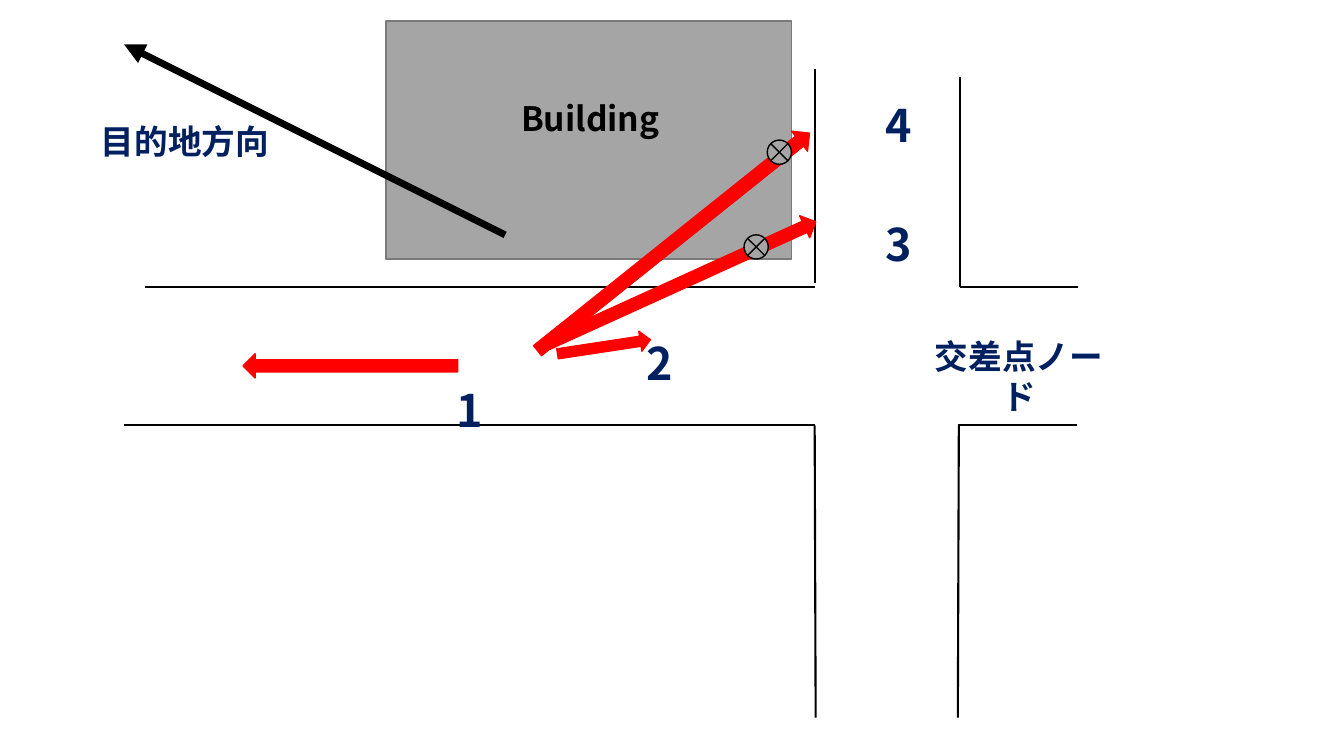
import math
from pptx import Presentation
from pptx import util as u
from pptx.dml.color import RGBColor
from pptx.enum import shapes, text
from pptx.oxml.ns import qn
from lxml import etree

THEME = {
    "font": "Noto Sans CJK JP",
    "ink": RGBColor(0, 0, 0),
    "navy": RGBColor(0x00, 0x20, 0x60),
    "red": RGBColor(0xFF, 0, 0),
    "gray": RGBColor(0xA5, 0xA5, 0xA5),
    "edge": RGBColor(0x7A, 0x7A, 0x7A),
    "label": u.Pt(24),
    "digit": u.Pt(32),
}
PX = 9144  # EMU per px, 100 px to the inch
KIND = shapes.MSO_SHAPE

deck = Presentation()
deck.slide_width, deck.slide_height = 1333 * PX, 750 * PX
slide = deck.slides.add_slide(deck.slide_layouts[6])
items = slide.shapes


def block(kind, box, fill, edge, width=1):
    """Add a filled preset shape; box is left, top, width, height in px."""
    shape = items.add_shape(kind, *(round(v * PX) for v in box))
    shape.shadow.inherit = False
    shape.fill.solid()
    shape.fill.fore_color.rgb = fill
    shape.line.color.rgb = edge
    shape.line.width = u.Pt(width)
    return shape


def stroke(ends, width):
    """Add a straight black line; ends is x1, y1, x2, y2 in px."""
    line = items.add_connector(shapes.MSO_CONNECTOR.STRAIGHT, *(v * PX for v in ends))
    line.line.color.rgb = THEME["ink"]
    line.line.width = u.Pt(width)
    etree.SubElement(line._element.spPr, qn("a:effectLst"))
    return line


block(KIND.RECTANGLE, (383, 21, 402, 236), THEME["gray"], THEME["edge"])

# Road edges around the crossing
roads = [
    (808, 68, 808, 281), (144, 285, 808, 285),
    (123, 422, 808, 422), (809, 712, 808, 422),
    (950, 712, 951, 422), (950, 422, 1068, 422),
    (952, 285, 1069, 285), (952, 76, 952, 285),
]
for road in roads:
    stroke(road, 1.5)

# Direction of the destination
goal = stroke((501, 233, 123, 44), 5)
etree.SubElement(goal.line._get_or_add_ln(), qn("a:tailEnd"), type="triangle")

# Candidate headings: tail point, tip point, thickness, outline
rays = [
    ((454, 363), (241, 363), 24, 1),
    ((553, 351), (645, 337), 20, 1),
    ((543, 341), (809, 220), 24, 1),
    ((533, 348), (803, 132), 26, 0),
]
for (x1, y1), (x2, y2), thick, width in rays:
    size = math.dist((x1, y1), (x2, y2))
    box = ((x1 + x2 - thick) / 2, (y1 + y2 - size) / 2, thick, size)
    ray = block(KIND.DOWN_ARROW, box, THEME["red"], THEME["red"], width)
    ray.rotation = math.degrees(math.atan2(x1 - x2, y2 - y1)) % 360

labels = [
    ("交差点ノード", 903, 328, "label", "navy"),
    ("目的地方向", 76, 115, "label", "navy"),
    ("Building", 478, 92, "label", "ink"),
    ("1", 430, 375, "digit", "navy"),
    ("2", 619, 328, "digit", "navy"),
    ("3", 856, 210, "digit", "navy"),
    ("4", 856, 92, "digit", "navy"),
]
sizes = {"label": (215, 50), "digit": (71, 64)}
for words, left, top, role, tint in labels:
    box = items.add_textbox(*(v * PX for v in (left, top, *sizes[role])))
    frame = box.text_frame
    frame.word_wrap = True
    frame.auto_size = text.MSO_AUTO_SIZE.SHAPE_TO_FIT_TEXT
    frame.text = words
    para = frame.paragraphs[0]
    para.alignment = text.PP_ALIGN.CENTER
    font = para.runs[0].font
    font.size, font.bold, font.name = THEME[role], True, THEME["font"]
    font.color.rgb = THEME[tint]
    etree.SubElement(font._element, qn("a:ea"), typeface=THEME["font"])

# Points where a heading meets the building wall
for left, top in [(761, 139), (738, 233)]:
    block(KIND.FLOWCHART_SUMMING_JUNCTION, (left, top, 24, 24), THEME["gray"], THEME["ink"])

deck.save("out.pptx")
